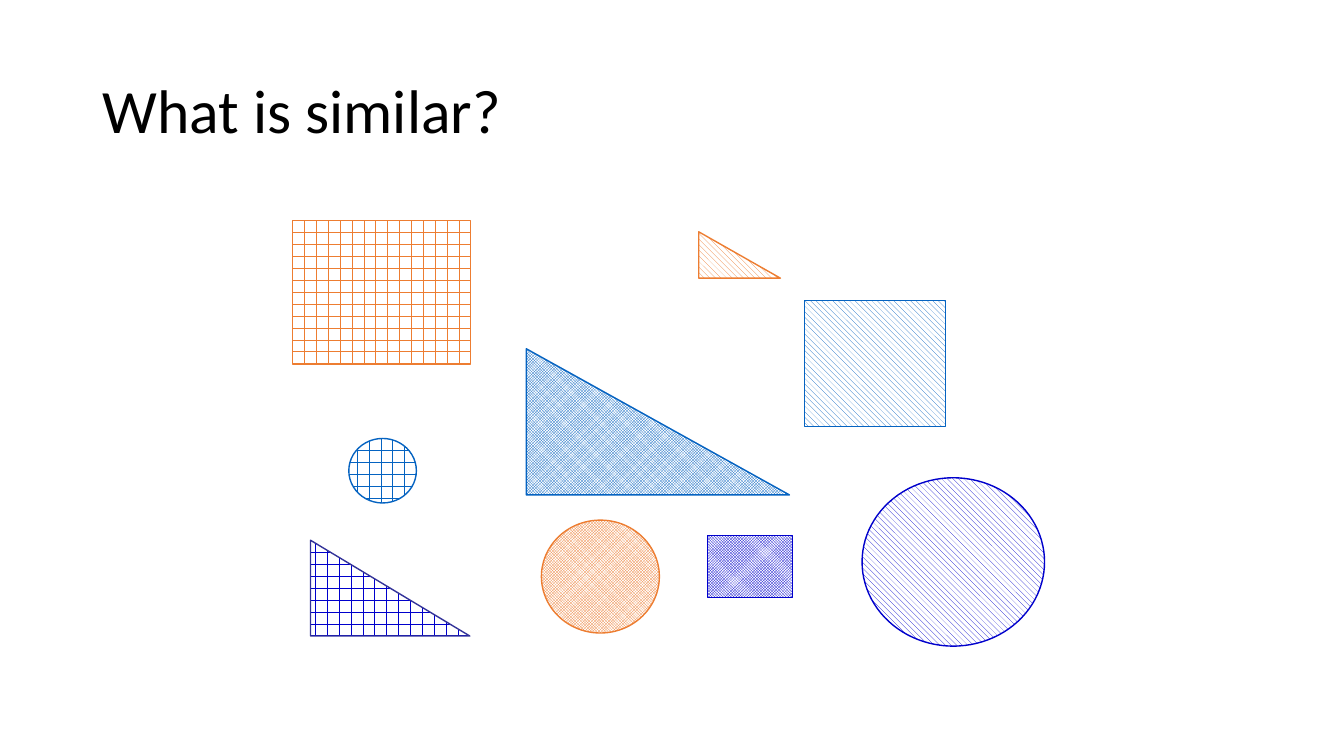
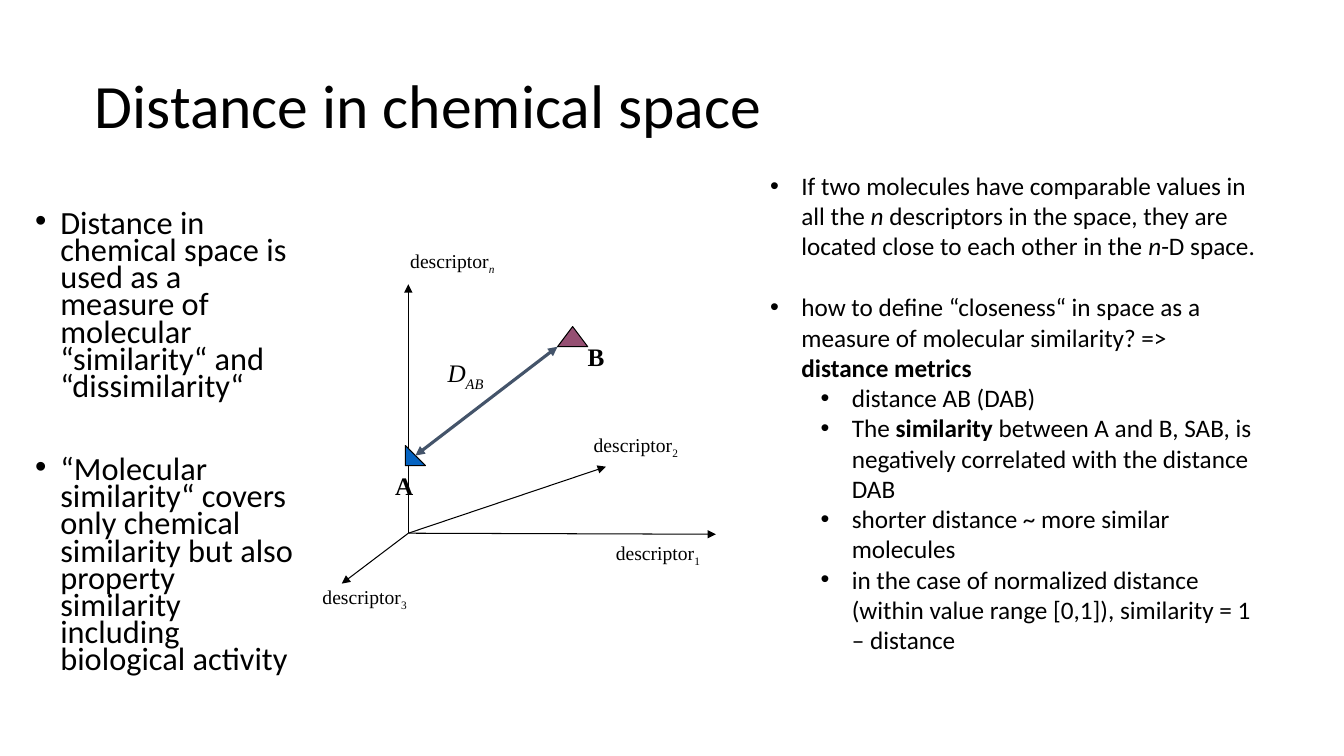
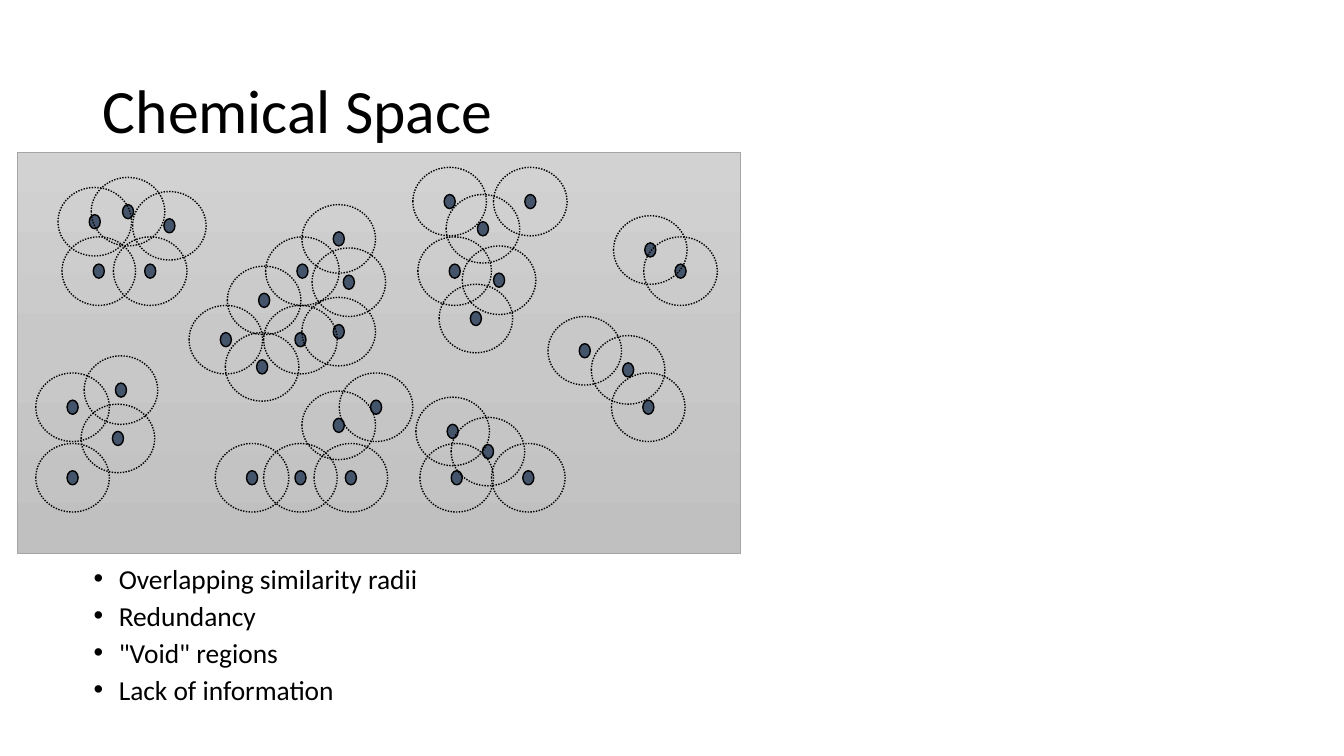
from copy import deepcopy
from dataclasses import dataclass

from lxml.etree import SubElement
from pptx import Presentation
from pptx.dml.color import RGBColor
from pptx.enum.dml import MSO_LINE, MSO_PATTERN
from pptx.enum.shapes import MSO_CONNECTOR, MSO_SHAPE
from pptx.enum.text import MSO_ANCHOR, MSO_AUTO_SIZE, PP_ALIGN
from pptx.oxml.ns import qn
from pptx.util import Inches, Pt


@dataclass(frozen=True)
class Theme:
    black: str = "000000"
    white: str = "FFFFFF"
    orange: str = "ED7D31"
    blue: str = "0563C1"
    navy: str = "0000CC"
    indigo: str = "333399"
    plum: str = "954F72"
    slate: str = "44546A"
    grey: str = "A5A5A5"
    panel: tuple = ((0, "D2D2D2"), (0.5, "C8C8C8"), (1, "C0C0C0"))
    sans: str = "Calibri"
    serif: str = "Times New Roman"
    title: float = 44
    left_body: float = 23.1
    findings: float = 19.6
    body: float = 18
    label: float = 14


THEME = Theme()
SLIDE_SIZE = (13.33, 7.5)
TITLE_SIZE = (11.5, 1.45)
TITLE_AT = (0.92, 0.4)

RECTANGLE = MSO_SHAPE.RECTANGLE
ELLIPSE = MSO_SHAPE.OVAL
RIGHT_TRIANGLE = MSO_SHAPE.RIGHT_TRIANGLE
BRICK = MSO_PATTERN.HORIZONTAL_BRICK
CHECK = MSO_PATTERN.SMALL_CHECKER_BOARD
STRIPE = MSO_PATTERN.WIDE_DOWNWARD_DIAGONAL

PATTERNED_SHAPES = [
    (RECTANGLE, (2.9, 2.19, 1.77, 1.42), BRICK, THEME.orange, THEME.orange),
    (ELLIPSE, (3.46, 4.35, 0.67, 0.64), BRICK, THEME.blue, THEME.blue),
    (RIGHT_TRIANGLE, (5.22, 3.46, 2.61, 1.45), CHECK, THEME.blue, THEME.blue),
    (RECTANGLE, (7.98, 2.98, 1.4, 1.25), STRIPE, THEME.blue, THEME.blue),
    (ELLIPSE, (5.37, 5.16, 1.17, 1.12), CHECK, THEME.orange, THEME.orange),
    (ELLIPSE, (8.55, 4.74, 1.81, 1.67), STRIPE, THEME.navy, THEME.navy),
    (RECTANGLE, (7.02, 5.31, 0.84, 0.62), CHECK, THEME.navy, THEME.navy),
    (RIGHT_TRIANGLE, (6.93, 2.3, 0.81, 0.46), STRIPE, THEME.orange, THEME.orange),
    (RIGHT_TRIANGLE, (3.08, 5.36, 1.58, 0.95), BRICK, THEME.navy, THEME.indigo),
]

DISTANCE_POINTS = [
    {"runs": ["Distance in chemical space is used as a measure of molecular “similarity“ and “dissimilarity“"]},
    {"runs": ["“Molecular similarity“ covers only chemical similarity but also property similarity "
              "including biological activity"], "before": 40},
]
CLOSENESS_POINTS = [
    {"runs": ["If two molecules have comparable values in all the ", ("n", "italic"),
              " descriptors in the space, they are located close to each other in the ",
              ("n", "italic"), "-D space."]},
    {"runs": ["how to define “closeness“ in space as a measure of molecular similarity? => ",
              ("distance metrics", "bold")], "before": 22},
    {"runs": ["distance AB (DAB)"], "level": 1},
    {"runs": ["The ", ("similarity", "bold"),
              " between A and B, SAB, is negatively correlated with the distance DAB"], "level": 1},
    {"runs": ["shorter distance ~ more similar molecules"], "level": 1},
    {"runs": ["in the case of normalized distance (within value range [0,1]), similarity = 1 – distance"],
     "level": 1},
]
AXIS_LABELS = [
    ((3.1, 5.79, 1.45, 0.3), ("3", "subscript")),
    ((5.79, 4.28, 1.33, 0.3), ("2", "subscript")),
    ((6.01, 5.35, 1.33, 0.3), ("1", "subscript")),
    ((3.97, 2.45, 1.31, 0.3), ("n", "italic subscript")),
]
ORIGIN = (4.05, 5.29)
AXIS_ENDS = [(4.05, 2.82), (7.1, 5.3), (6.01, 4.63), (3.39, 5.79)]
MOLECULES = [
    (MSO_SHAPE.ISOSCELES_TRIANGLE, (5.53, 3.24, 0.3, 0.2), THEME.plum),
    (RIGHT_TRIANGLE, (4.02, 4.42, 0.2, 0.2), THEME.blue),
]
DISTANCE_ENDS = ((4.12, 4.52), (5.53, 3.44))
MOLECULE_LABELS = [
    ((4.34, 3.5, 0.81, 0.4), [("D", "italic"), ("AB", "italic subscript")]),
    ((3.82, 4.62, 0.43, 0.4), [("A", "bold")]),
    ((5.73, 3.34, 0.5, 0.4), [("B", "bold")]),
]

FINDINGS = ["Overlapping similarity radii", "Redundancy", "\"Void\" regions", "Lack of information"]
COMPOUNDS = [
    (0.94, 2.2), (1.27, 2.1), (1.68, 2.24), (3.36, 2.37), (2.6, 3.64), (4.46, 2.0), (5.26, 2.0),
    (4.95, 2.78), (0.98, 2.69), (1.49, 2.69), (2.62, 2.98), (3.0, 2.69), (3.46, 2.8), (4.51, 2.69),
    (6.75, 2.69), (1.2, 3.87), (2.24, 3.37), (2.98, 3.37), (3.36, 3.29), (4.72, 3.16), (4.79, 2.27),
    (6.45, 2.48), (0.72, 4.04), (1.17, 4.35), (3.36, 4.22), (3.73, 4.04), (4.49, 4.28), (6.43, 4.04),
    (5.8, 3.48), (0.72, 4.74), (2.5, 4.74), (2.98, 4.74), (3.48, 4.74), (4.53, 4.74), (5.24, 4.74),
    (4.84, 4.48), (6.23, 3.67),
]
DOT_SIZE = (0.11, 0.14)
RADIUS_SIZE = (0.73, 0.68)


def rgb(color):
    return RGBColor.from_string(color)


def inches(values):
    return [Inches(value) for value in values]


def centred(center, size):
    return (center[0] - size[0] / 2, center[1] - size[1] / 2, *size)


def write_text(shape, paragraphs, size, font=THEME.sans, spacing=None, before=0,
               indents=None, hanging=0, anchor=MSO_ANCHOR.TOP):
    frame = shape.text_frame
    frame.word_wrap = True
    frame.auto_size = MSO_AUTO_SIZE.NONE
    frame.vertical_anchor = anchor
    for index, content in enumerate(paragraphs):
        paragraph = frame.add_paragraph() if index else frame.paragraphs[0]
        paragraph.alignment = PP_ALIGN.LEFT
        paragraph.level = content.get("level", 0)
        paragraph.space_before = Pt(content.get("before", before))
        if spacing:
            paragraph.line_spacing = spacing
        if indents:
            properties = paragraph._p.get_or_add_pPr()
            properties.set("marL", str(Inches(indents[paragraph.level])))
            properties.set("indent", str(-Inches(hanging)))
            SubElement(properties, qn("a:buFont")).set("typeface", "Arial")
            SubElement(properties, qn("a:buChar")).set("char", "•")
        for item in content["runs"]:
            text, style = (item, "") if isinstance(item, str) else item
            run = paragraph.add_run()
            run.text = text
            run.font.size = Pt(size)
            run.font.name = font
            run.font.color.rgb = rgb(THEME.black)
            run.font.bold = "bold" in style
            run.font.italic = "italic" in style
            if "subscript" in style:
                run._r.get_or_add_rPr().set("baseline", "-25000")


def add_text(shapes, place, paragraphs, **text_format):
    box = shapes.add_textbox(*inches(place))
    write_text(box, paragraphs, **text_format)


def add_shape(shapes, kind, place, fill=None, pattern=None, line=None, width=1, dash=None):
    shape = shapes.add_shape(kind, *inches(place))
    shape.shadow.inherit = False
    if pattern:
        shape.fill.patterned()
        shape.fill.pattern = pattern
        shape.fill.fore_color.rgb = rgb(fill)
        shape.fill.back_color.rgb = rgb(THEME.white)
    elif fill:
        shape.fill.solid()
        shape.fill.fore_color.rgb = rgb(fill)
    else:
        shape.fill.background()
    if line:
        shape.line.color.rgb = rgb(line)
        shape.line.width = Pt(width)
        if dash:
            shape.line.dash_style = dash
    else:
        shape.line.fill.background()
    return shape


def add_arrow(shapes, start, end, color, width, ends=("tailEnd",)):
    arrow = shapes.add_connector(MSO_CONNECTOR.STRAIGHT, *inches(start + end))
    arrow.line.color.rgb = rgb(color)
    arrow.line.width = Pt(width)
    outline = next(arrow.element.iter(qn("a:ln")))
    for name in ends:
        SubElement(outline, qn(f"a:{name}")).set("type", "triangle")
    SubElement(arrow.element.spPr, qn("a:effectLst"))


def fill_gradient(shape, stops):
    shape.fill.gradient()
    shape.fill.gradient_angle = 270
    stop_list = next(shape.element.iter(qn("a:gsLst")))
    stop_list.insert(1, deepcopy(stop_list[0]))
    for stop, (position, color) in zip(shape.fill.gradient_stops, stops):
        stop.position = position
        stop.color.rgb = rgb(color)


def add_slide(presentation, title, at=TITLE_AT):
    slide = presentation.slides.add_slide(presentation.slide_layouts[5])
    placeholder = slide.shapes.title
    placeholder.left, placeholder.top, placeholder.width, placeholder.height = inches(at + TITLE_SIZE)
    write_text(placeholder, [{"runs": [title]}], size=THEME.title, spacing=0.9, anchor=MSO_ANCHOR.MIDDLE)
    return slide


def build_similarity(presentation):
    slide = add_slide(presentation, "What is similar?")
    group = slide.shapes.add_group_shape()
    for kind, place, pattern, fill, line in PATTERNED_SHAPES:
        add_shape(group.shapes, kind, place, fill=fill, pattern=pattern, line=line)


def build_distance(presentation):
    slide = add_slide(presentation, "Distance in chemical space", at=(0.84, 0.35))
    shapes = slide.shapes
    add_text(shapes, (0.25, 2.06, 2.79, 4.76), DISTANCE_POINTS, size=THEME.left_body,
             spacing=0.7, before=10, indents=[0.25], hanging=0.25)
    axes = shapes.add_group_shape().shapes
    for place, subscript in AXIS_LABELS:
        label = add_shape(axes, RECTANGLE, place, fill=THEME.white)
        write_text(label, [{"runs": ["descriptor", subscript]}], size=THEME.label,
                   font=THEME.serif, anchor=MSO_ANCHOR.MIDDLE)
    for end in AXIS_ENDS:
        add_arrow(axes, ORIGIN, end, THEME.black, 0.75)
    for kind, place, fill in MOLECULES:
        add_shape(shapes, kind, place, fill=fill, line=THEME.black, width=0.75)
    for place, runs in MOLECULE_LABELS:
        add_text(shapes, place, [{"runs": runs}], size=THEME.body, font=THEME.serif)
    add_arrow(shapes, *DISTANCE_ENDS, THEME.slate, 2.25, ends=("headEnd", "tailEnd"))
    add_text(shapes, (7.54, 1.64, 5.01, 5.5), CLOSENESS_POINTS, size=THEME.body,
             indents=[0.31, 0.81], hanging=0.31)


def build_space(presentation):
    slide = add_slide(presentation, "Chemical Space")
    shapes = slide.shapes
    panel = add_shape(shapes, RECTANGLE, (0.17, 1.51, 7.17, 3.98), line=THEME.grey, width=0.5)
    fill_gradient(panel, THEME.panel)
    shapes.title.element.addprevious(panel.element)
    add_text(shapes, (0.83, 5.62, 11.5, 1.46), [{"runs": [finding]} for finding in FINDINGS],
             size=THEME.findings, spacing=0.7, before=10, indents=[0.25], hanging=0.25)
    for size, fill, dash in ((DOT_SIZE, THEME.slate, None), (RADIUS_SIZE, None, MSO_LINE.ROUND_DOT)):
        group = shapes.add_group_shape()
        for center in COMPOUNDS:
            add_shape(group.shapes, ELLIPSE, centred(center, size), fill=fill, line=THEME.black, dash=dash)


def main():
    presentation = Presentation()
    presentation.slide_width, presentation.slide_height = inches(SLIDE_SIZE)
    for build in (build_similarity, build_distance, build_space):
        build(presentation)
    presentation.save("out.pptx")


if __name__ == "__main__":
    main()
